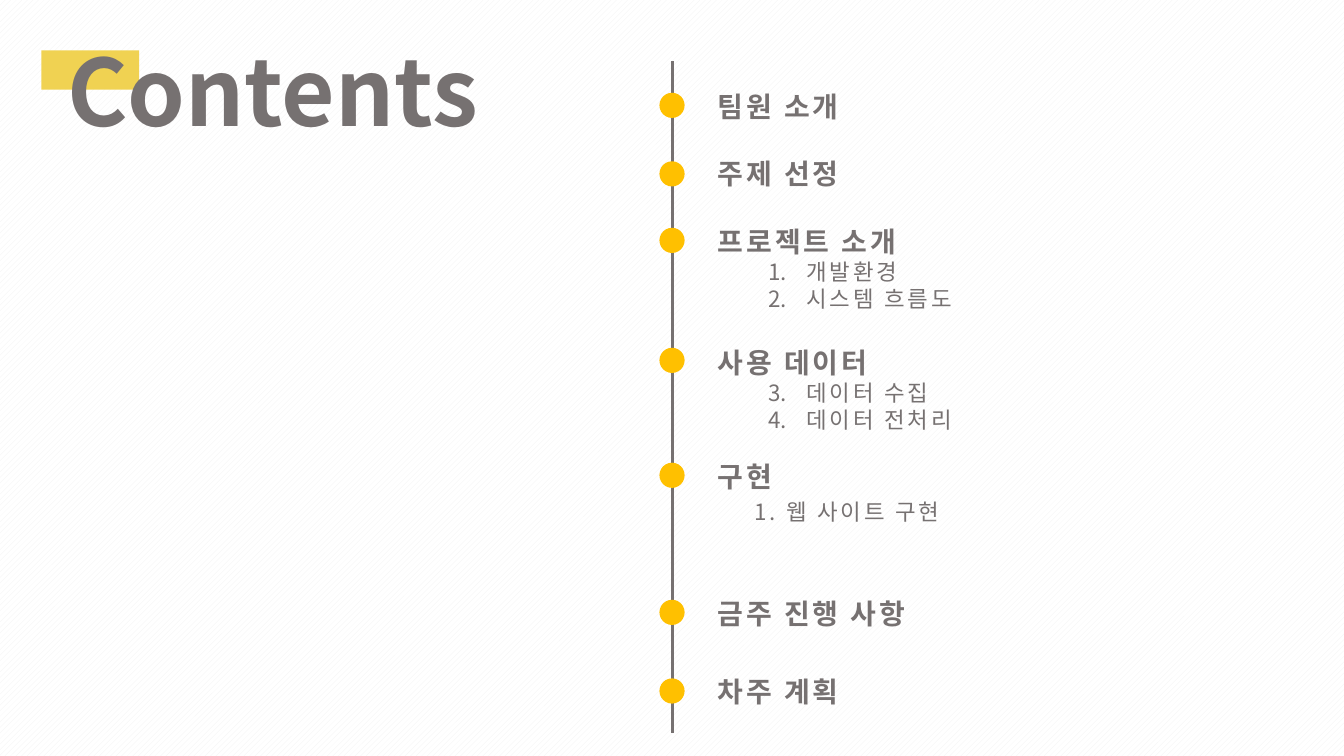
"""Builds a contents slide with a vertical timeline of sections."""
from dataclasses import dataclass

from lxml import etree
from pptx import Presentation
from pptx.dml.color import RGBColor
from pptx.enum.dml import MSO_PATTERN
from pptx.enum.shapes import MSO_CONNECTOR, MSO_SHAPE
from pptx.enum.text import MSO_ANCHOR, MSO_AUTO_SIZE, PP_ALIGN
from pptx.oxml.ns import qn
from pptx.util import Inches, Pt

STRIPES = MSO_PATTERN.WIDE_UPWARD_DIAGONAL
STRAIGHT = MSO_CONNECTOR.STRAIGHT
RECT, OVAL = MSO_SHAPE.RECTANGLE, MSO_SHAPE.OVAL
LEFT, CENTER = PP_ALIGN.LEFT, PP_ALIGN.CENTER
TOP = MSO_ANCHOR.TOP
NO_FIT = MSO_AUTO_SIZE.NONE

FONT = "Noto Sans CJK KR"
GRAY, YELLOW, AMBER = "767171", "F0D252", "FFC000"
LINE_RATIO = 1.2
DOT_LEFT, DOT_SIZE = 6.54, 0.25
DOT_TOPS = (0.92, 1.6, 2.26, 3.45, 4.59, 5.95, 6.73)


@dataclass
class Entry:
    """One line of text with its format; before is the gap above in points."""

    text: str
    before: float = 0
    size: float = 20
    bold: bool = True
    align: PP_ALIGN = LEFT
    tracking: float = 2
    margin: float = 0
    hanging: float = 0
    start: int = 0


def numbered(text: str, start: int) -> Entry:
    """Return an automatically numbered sub-entry."""
    return Entry(text, size=16, bold=False, margin=0.88, hanging=0.38, start=start)


TITLE = Entry("Contents", size=66, align=CENTER, tracking=0)
ENTRIES = (
    Entry("팀원 소개"),
    Entry("주제 선정", before=24),
    Entry("프로젝트 소개", before=24),
    numbered("개발환경", 1),
    numbered("시스템 흐름도", 1),
    Entry("사용 데이터", before=24),
    numbered("데이터 수집", 3),
    numbered("데이터 전처리", 3),
    Entry("구현", before=19),
    Entry("1. 웹 사이트 구현", before=4, size=16, bold=False, margin=0.36),
    Entry("금주 진행 사항", before=51),
    Entry("차주 계획", before=32),
)


def color(value: str) -> RGBColor:
    """Turn a hex string into a colour."""
    return RGBColor.from_string(value)


def assign(target: object, values: dict) -> None:
    """Set each named attribute of the target."""
    for name, value in values.items():
        setattr(target, name, value)


def write_entry(p, entry: Entry) -> None:
    """Write one entry into a paragraph."""
    assign(p, {
        "alignment": entry.align,
        "line_spacing": Pt(entry.size * LINE_RATIO),
        "space_before": Pt(entry.before),
        "space_after": Pt(0),
    })
    pPr = p._p.get_or_add_pPr()
    pPr.set("marL", str(Inches(entry.margin)))
    pPr.set("indent", str(-Inches(entry.hanging)))
    if entry.start:
        etree.SubElement(pPr, qn("a:buFont"), typeface="+mj-lt")
        etree.SubElement(pPr, qn("a:buAutoNum"), type="arabicPeriod", startAt=str(entry.start))
    else:
        etree.SubElement(pPr, qn("a:buNone"))
    r = p.add_run()
    r.text = entry.text
    assign(r.font, {"size": Pt(entry.size), "bold": entry.bold, "name": FONT})
    r.font.color.rgb = color(GRAY)
    rPr = r._r.get_or_add_rPr()
    rPr.set("spc", str(int(entry.tracking * 100)))
    etree.SubElement(rPr, qn("a:ea"), typeface=FONT)


def fill_placeholder(sp, box: tuple[float, ...], entries: tuple[Entry, ...]) -> None:
    """Place a placeholder and fill it with entries."""
    assign(sp, dict(zip(("left", "top", "width", "height"), map(Inches, box))))
    tf = sp.text_frame
    assign(tf, {"word_wrap": True, "auto_size": NO_FIT, "vertical_anchor": TOP})
    for i, entry in enumerate(entries):
        write_entry(tf.add_paragraph() if i else tf.paragraphs[0], entry)


def add_plain_shape(s, kind: MSO_SHAPE, box: tuple[float, ...], fill: str):
    """Add a filled shape without line or shadow."""
    sp = s.shapes.add_shape(kind, *map(Inches, box))
    sp.shadow.inherit = False
    sp.fill.solid()
    sp.fill.fore_color.rgb = color(fill)
    sp.line.fill.background()
    return sp


def add_axis(s) -> None:
    """Draw the vertical line of the timeline."""
    axis = s.shapes.add_connector(STRAIGHT, *map(Inches, (6.67, 0.61, 6.67, 7.27)))
    axis.line.width = Pt(2.25)
    axis.line.color.rgb = color(GRAY)
    etree.SubElement(axis._element.spPr, qn("a:effectLst"))


def main() -> None:
    """Build and save the slide."""
    prs = Presentation()
    assign(prs, {"slide_width": Inches(13.33), "slide_height": Inches(7.5)})
    s = prs.slides.add_slide(prs.slide_layouts[1])
    fill = s.background.fill
    fill.patterned()
    fill.pattern = STRIPES
    fill.fore_color.rgb = color("F2F2F2")
    fill.back_color.rgb = color("FFFFFF")

    title, body = s.shapes.title, s.placeholders[1]
    fill_placeholder(title, (0, 0.29, 5.41, 1.21), (TITLE,))
    fill_placeholder(body, (7.02, 0.84, 4.49, 6.66), ENTRIES)
    accent = add_plain_shape(s, RECT, (0.41, 0.5, 0.97, 0.39), YELLOW)
    title._element.addprevious(accent._element)

    add_axis(s)
    for top in DOT_TOPS:
        add_plain_shape(s, OVAL, (DOT_LEFT, top, DOT_SIZE, DOT_SIZE), AMBER)
    prs.save("out.pptx")


if __name__ == "__main__":
    main()
